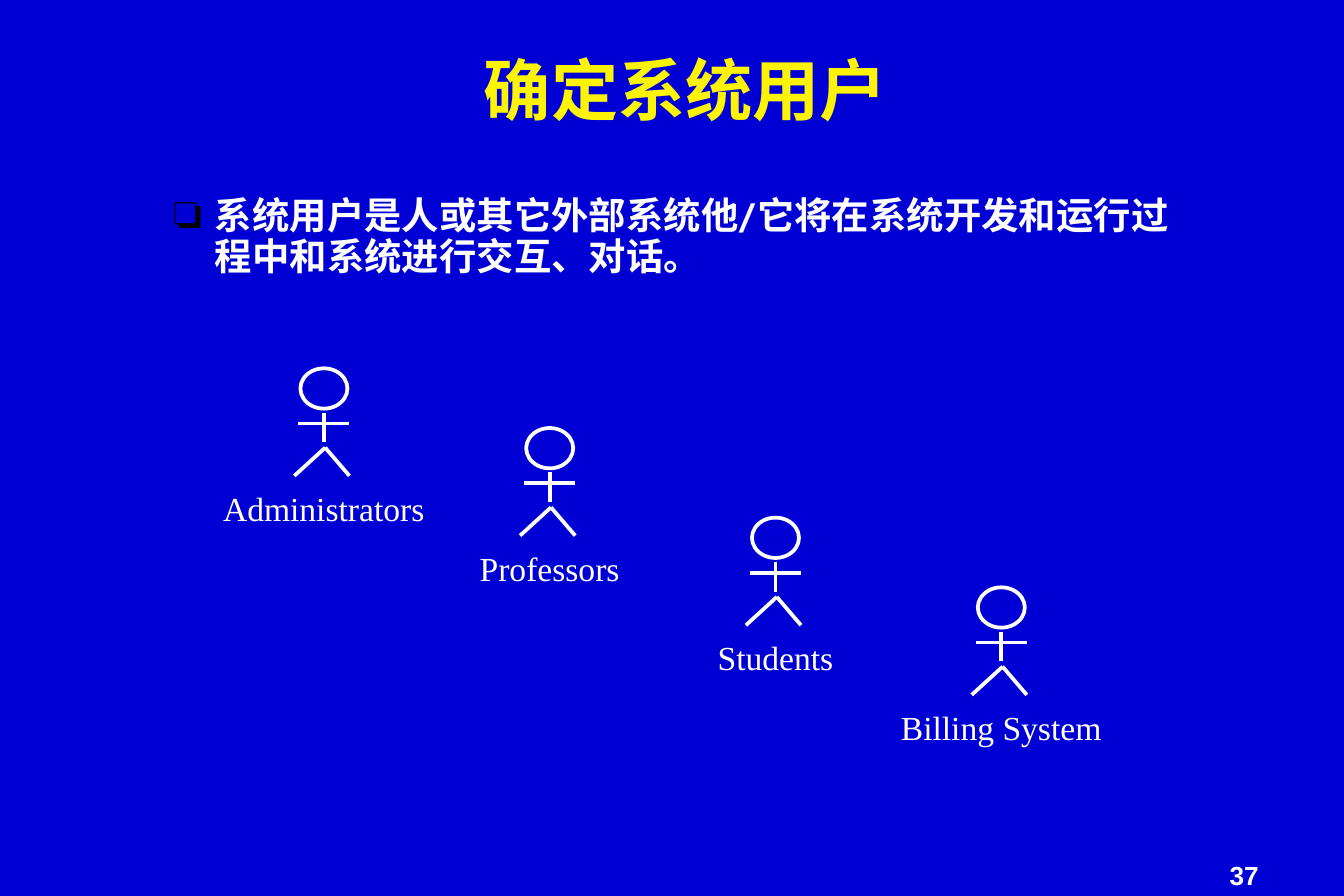
from dataclasses import dataclass

from lxml.etree import SubElement
from pptx import Presentation
from pptx.dml.color import RGBColor
from pptx.enum.shapes import MSO_CONNECTOR, MSO_SHAPE
from pptx.enum.text import MSO_ANCHOR, PP_ALIGN
from pptx.oxml.ns import qn
from pptx.util import Inches, Pt

# Slide size in units of 1/576 inch
UNITS_PER_INCH = 576
WIDTH, HEIGHT = 5760 / UNITS_PER_INCH, 3839 / UNITS_PER_INCH
ROW = HEIGHT / 90
FIRST_COLUMN, COLUMN = 2.41, 1.68

BLUE = RGBColor(0x00, 0x00, 0xD4)
YELLOW = RGBColor(0xFC, 0xF3, 0x05)
WHITE = RGBColor(0xFF, 0xFF, 0xFF)
BLACK = RGBColor(0x00, 0x00, 0x00)

HEADING_FONT = "League Spartan"
LABEL_FONT = "Times New Roman"
HEAD_WIDTH, HEAD_HEIGHT = 0.35, 0.3
LABEL_WIDTH, LABEL_HEIGHT, LABEL_DROP = 1.7, 0.4, 0.84
# Limbs as (x1, y1, x2, y2) from the top centre of the head
LIMBS = (
    (0.01, 0.59, -0.22, 0.8),
    (0.01, 0.59, 0.19, 0.8),
    (0, 0.33, 0, 0.55),
    (-0.19, 0.41, 0.19, 0.41),
)


@dataclass(frozen=True)
class Actor:
    label: str
    column: int
    row: int


ACTORS = (
    Actor("Administrators", 0, 37),
    Actor("Professors", 1, 43),
    Actor("Students", 2, 52),
    Actor("Billing System", 3, 59),
)


def add_text(page, text: str, left: float, top: float, width: float, height: float, *,
             size: int, font: str, color: RGBColor = WHITE, bold: bool = False,
             align=PP_ALIGN.LEFT, anchor=MSO_ANCHOR.TOP, spacing: float = 1,
             margins: tuple = (0.1, 0.05), bullet: str = "", indent: float = 0) -> None:
    box = page.shapes.add_textbox(Inches(left), Inches(top), Inches(width), Inches(height))
    frame = box.text_frame
    frame.word_wrap = True
    frame.vertical_anchor = anchor
    frame.margin_left = frame.margin_right = Inches(margins[0])
    frame.margin_top = frame.margin_bottom = Inches(margins[1])
    para = frame.paragraphs[0]
    para.alignment = align
    para.line_spacing = spacing
    if bullet:
        properties = para._p.get_or_add_pPr()
        properties.set("marL", str(Inches(indent)))
        properties.set("indent", str(-Inches(indent)))
        bullet_color = SubElement(properties, qn("a:buClr"))
        SubElement(bullet_color, qn("a:srgbClr"), val=str(BLACK))
        SubElement(properties, qn("a:buFont"), typeface=LABEL_FONT)
        SubElement(properties, qn("a:buChar"), char=bullet)
    span = para.add_run()
    span.text = text
    span.font.size = Pt(size)
    span.font.name = font
    span.font.bold = bold
    span.font.color.rgb = color
    SubElement(span._r.get_or_add_rPr(), qn("a:ea"), typeface=font)


def add_limb(group, x1: float, y1: float, x2: float, y2: float) -> None:
    limb = group.shapes.add_connector(
        MSO_CONNECTOR.STRAIGHT, Inches(x1), Inches(y1), Inches(x2), Inches(y2))
    limb.line.color.rgb = WHITE
    limb.line.width = Pt(2)
    SubElement(limb._element.spPr, qn("a:effectLst"))


def add_actor(page, actor: Actor) -> None:
    """Draw a grouped stick figure with its label centred below."""
    center = FIRST_COLUMN + actor.column * COLUMN
    top = actor.row * ROW
    group = page.shapes.add_group_shape()
    head = group.shapes.add_shape(
        MSO_SHAPE.OVAL, Inches(center - HEAD_WIDTH / 2), Inches(top),
        Inches(HEAD_WIDTH), Inches(HEAD_HEIGHT))
    head.shadow.inherit = False
    head.fill.background()
    head.line.color.rgb = WHITE
    head.line.width = Pt(2)
    for x1, y1, x2, y2 in LIMBS:
        add_limb(group, center + x1, top + y1, center + x2, top + y2)
    add_text(page, actor.label, center - LABEL_WIDTH / 2, top + LABEL_DROP,
             LABEL_WIDTH, LABEL_HEIGHT, size=18, font=LABEL_FONT,
             align=PP_ALIGN.CENTER, anchor=MSO_ANCHOR.MIDDLE)


def main() -> None:
    deck = Presentation()
    deck.slide_width, deck.slide_height = Inches(WIDTH), Inches(HEIGHT)
    page = deck.slides.add_slide(deck.slide_layouts[6])
    page.background.fill.solid()
    page.background.fill.fore_color.rgb = BLUE

    add_text(page, "37", 9.08, 6.39, 0.9, 0.27, size=14, font="Arial", bold=True,
             spacing=0.9, margins=(0.07, 0.03))
    add_text(page, "确定系统用户", 2.54, 0.42, 5.12, 0.58, size=36, font=HEADING_FONT,
             color=YELLOW, bold=True, align=PP_ALIGN.CENTER, spacing=0.88,
             margins=(0.06, 0.02))
    add_text(page, "系统用户是人或其它外部系统他/它将在系统开发和运行过程中和系统进行交互、对话。",
             1.17, 1.41, 7.83, 4, size=20, font=HEADING_FONT, bold=True, spacing=0.9,
             margins=(0.12, 0.06), bullet="❏", indent=0.31)
    for actor in ACTORS:
        add_actor(page, actor)
    deck.save("out.pptx")


if __name__ == "__main__":
    main()
